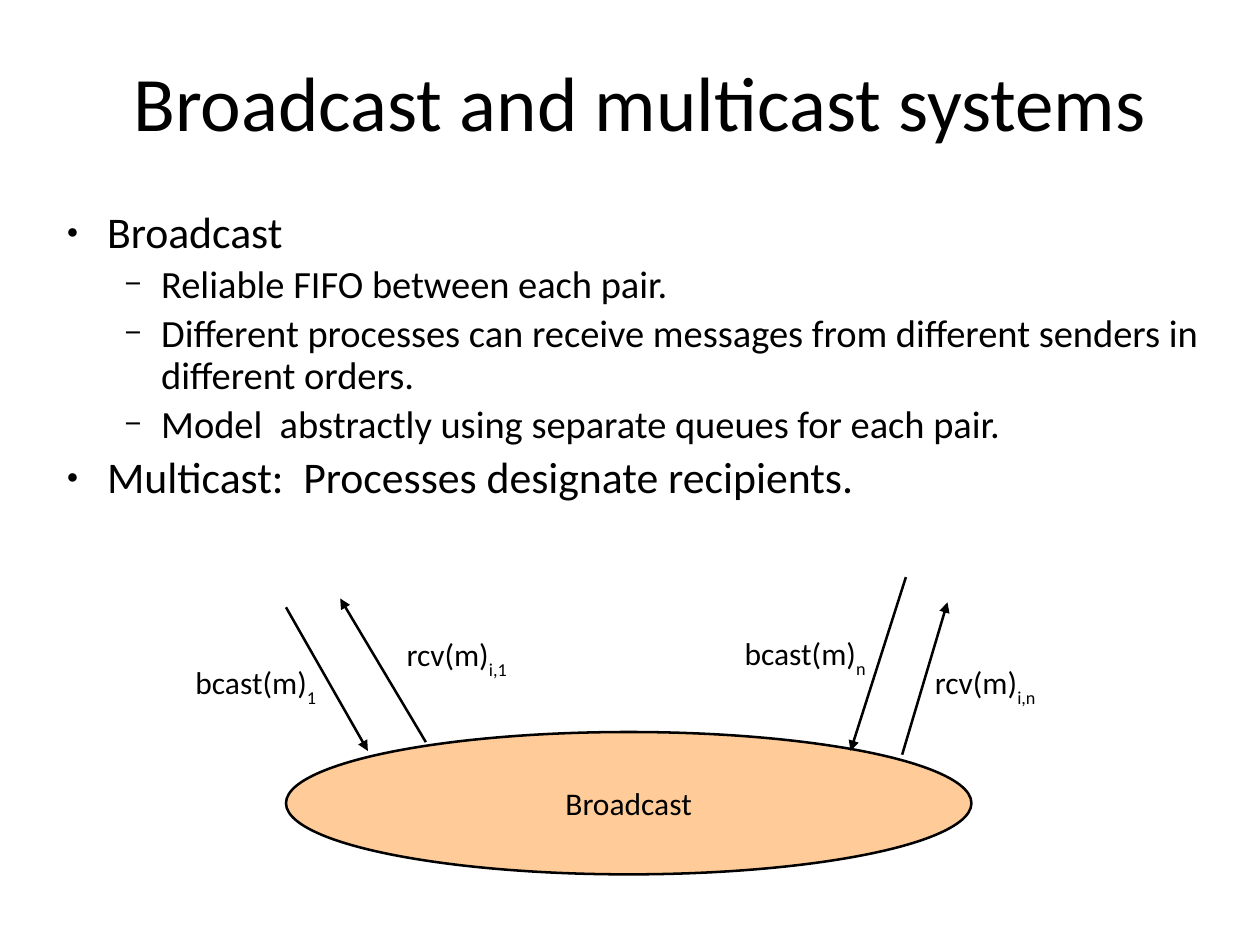
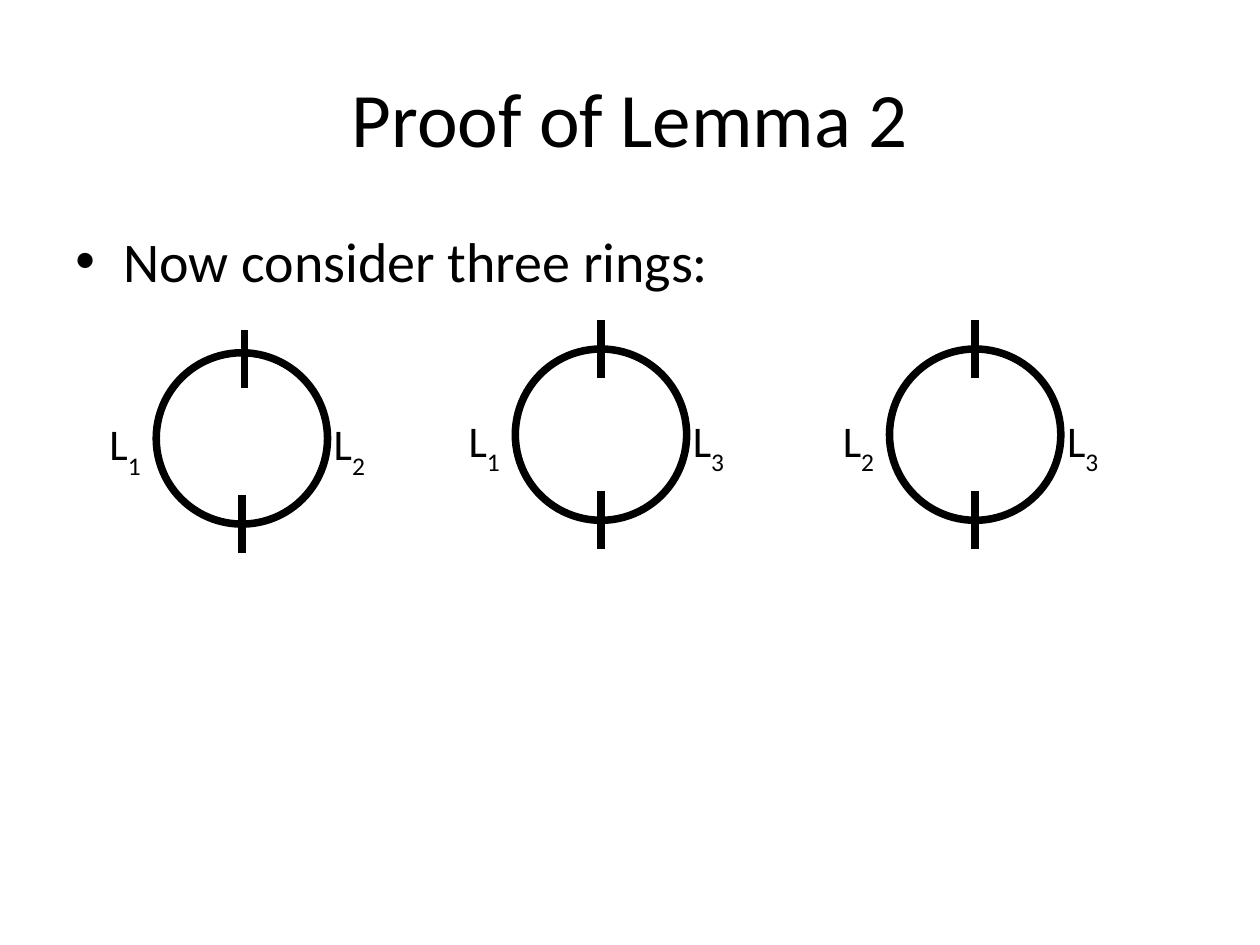
import dataclasses
import typing

import pptx
import pptx.dml.color
import pptx.enum.shapes
import pptx.enum.text
import pptx.oxml.ns
import pptx.util
from lxml import etree

PX = 9144  # 100 px to the inch
BLACK = pptx.dml.color.RGBColor(0x00, 0x00, 0x00)
PEACH = pptx.dml.color.RGBColor(0xFF, 0xCC, 0x99)
FONT = "Calibri"
THIN, THICK = 1.45, 4.31
CENTER = pptx.enum.text.PP_ALIGN.CENTER
MIDDLE = pptx.enum.text.MSO_ANCHOR.MIDDLE
OVAL = pptx.enum.shapes.MSO_SHAPE.OVAL
STRAIGHT = pptx.enum.shapes.MSO_CONNECTOR.STRAIGHT

Box = tuple[int, int, int, int]
Point = tuple[int, int]


@dataclasses.dataclass
class Level:
    mark: str
    ratio: int
    left: int
    hang: int
    size: int
    lines: float = 1.0


@dataclasses.dataclass
class Label:
    text: str
    sub: str
    box: Box


@dataclasses.dataclass
class Arrow:
    start: Point
    tip: Point


@dataclasses.dataclass
class Ring:
    left: int
    top: int
    west: str
    east: str
    shift: Point = (0, 0)  # offset of the upper tick


MAIN = Level("●", 45, 43, 32, 25, 0.9)
MINOR = Level("−", 75, 86, 29, 22, 0.9)
LARGE = Level("•", 100, 38, 38, 32)

POINTS = [
    (MAIN, "Broadcast"),
    (MINOR, "Reliable FIFO between each pair."),
    (MINOR, "Different processes can receive messages from different senders in different orders."),
    (MINOR, "Model  abstractly using separate queues for each pair."),
    (MAIN, "Multicast:  Processes designate recipients."),
]
ARROWS = [
    Arrow((227, 482), (292, 596)),
    Arrow((338, 589), (270, 475)),
    Arrow((719, 458), (675, 596)),
    Arrow((716, 599), (752, 478)),
]
LABELS = [
    Label("bcast(m)", "1", (137, 526, 132, 32)),
    Label("rcv(m)", "i,1", (296, 504, 133, 32)),
    Label("bcast(m)", "n", (568, 503, 142, 32)),
    Label("rcv(m)", "i,n", (719, 526, 126, 32)),
]
RINGS = [
    Ring(124, 280, "1", "2", (2, 5)),
    Ring(409, 277, "1", "3"),
    Ring(706, 277, "2", "3"),
]
RING = 136
TICK = 46


def px(*values: int) -> list[int]:
    return [value * PX for value in values]


def style(target: typing.Any, **formats: typing.Any) -> None:
    for name, value in formats.items():
        setattr(target, name, value)


def write(para: typing.Any, text: str, size: int, sub: str = "") -> None:
    """Add text and, if given, a subscript after it."""
    for part in filter(None, (text, sub)):
        run = para.add_run()
        run.text = part
        style(run.font, name=FONT, size=pptx.util.Pt(size))
        run.font.color.rgb = BLACK
    if sub:
        run.font._element.set("baseline", "-33000")


def frame(slide: typing.Any, box: Box, pads: Box = (10, 5, 10, 5), **formats: typing.Any) -> typing.Any:
    """Add a wrapping text box; pads are left, top, right, bottom."""
    body = slide.shapes.add_textbox(*px(*box)).text_frame
    sides = ("margin_left", "margin_top", "margin_right", "margin_bottom")
    style(body, word_wrap=True, **dict(zip(sides, px(*pads))), **formats)
    return body


def title(slide: typing.Any, text: str, left: int, top: int) -> None:
    body = frame(slide, (left, top, 900, 125), vertical_anchor=MIDDLE)
    body.paragraphs[0].alignment = CENTER
    write(body.paragraphs[0], text, 44)


def bullets(body: typing.Any, points: list[tuple[Level, str]]) -> None:
    for index, (level, text) in enumerate(points):
        para = body.add_paragraph() if index else body.paragraphs[0]
        style(para, line_spacing=level.lines, space_before=pptx.util.Pt(level.size * 0.2))
        props = para._p.get_or_add_pPr()
        props.set("marL", str(level.left * PX))
        props.set("indent", str(-level.hang * PX))
        marks = {
            "a:buSzPct": ("val", str(level.ratio * 1000)),
            "a:buFont": ("typeface", "Arial"),
            "a:buChar": ("char", level.mark),
        }
        for tag, (name, value) in marks.items():
            etree.SubElement(props, pptx.oxml.ns.qn(tag)).set(name, value)
        write(para, text, level.size)


def oval(slide: typing.Any, box: Box, width: float) -> typing.Any:
    shape = slide.shapes.add_shape(OVAL, *px(*box))
    shape.shadow.inherit = False
    shape.fill.background()
    shape.line.color.rgb = BLACK
    shape.line.width = pptx.util.Pt(width)
    return shape


def line(slide: typing.Any, start: Point, end: Point, width: float, head: bool = False) -> None:
    link = slide.shapes.add_connector(STRAIGHT, *px(*start, *end))
    link.line.color.rgb = BLACK
    link.line.width = pptx.util.Pt(width)
    props = link._element.spPr
    etree.SubElement(props, pptx.oxml.ns.qn("a:effectLst"))
    if head:
        tail = etree.SubElement(link.line._get_or_add_ln(), pptx.oxml.ns.qn("a:tailEnd"))
        tail.set("type", "triangle")


def draw_ring(slide: typing.Any, ring: Ring) -> None:
    oval(slide, (ring.left, ring.top, RING, RING), THICK)
    mid = ring.left + RING // 2
    for rim, (right, down) in ((ring.top, ring.shift), (ring.top + RING, (0, 0))):
        x, y = mid + right, rim - TICK // 2 + down
        line(slide, (x, y), (x, y + TICK), THICK)
    for left, sub in ((-47, ring.west), (131, ring.east)):
        body = frame(slide, (ring.left + left, ring.top + 43, 58, 65), (10, 8, 10, 8))
        write(body.paragraphs[0], "L", 25, sub)


def casting(slide: typing.Any) -> None:
    title(slide, "Broadcast and multicast systems", 58, 17)
    bullets(frame(slide, (42, 167, 933, 333), (0, 0, 0, 0)), POINTS)
    hub = oval(slide, (227, 581, 544, 113), THIN)
    hub.fill.solid()
    hub.fill.fore_color.rgb = PEACH
    hub.text_frame.vertical_anchor = MIDDLE
    para = hub.text_frame.paragraphs[0]
    para.alignment = CENTER
    write(para, "Broadcast", 18)
    for arrow in ARROWS:
        line(slide, arrow.start, arrow.tip, THIN, head=True)
    for label in LABELS:
        para = frame(slide, label.box, (10, 0, 10, 2)).paragraphs[0]
        para.alignment = CENTER
        write(para, label.text, 18, label.sub)


def lemma(slide: typing.Any) -> None:
    title(slide, "Proof of Lemma 2", 50, 30)
    bullets(frame(slide, (50, 175, 900, 495)), [(LARGE, "Now consider three rings:")])
    for ring in RINGS:
        draw_ring(slide, ring)


def main() -> None:
    deck = pptx.Presentation()
    style(deck, slide_width=1000 * PX, slide_height=750 * PX)
    for build in (casting, lemma):
        build(deck.slides.add_slide(deck.slide_layouts[6]))
    deck.save("out.pptx")


if __name__ == "__main__":
    main()
